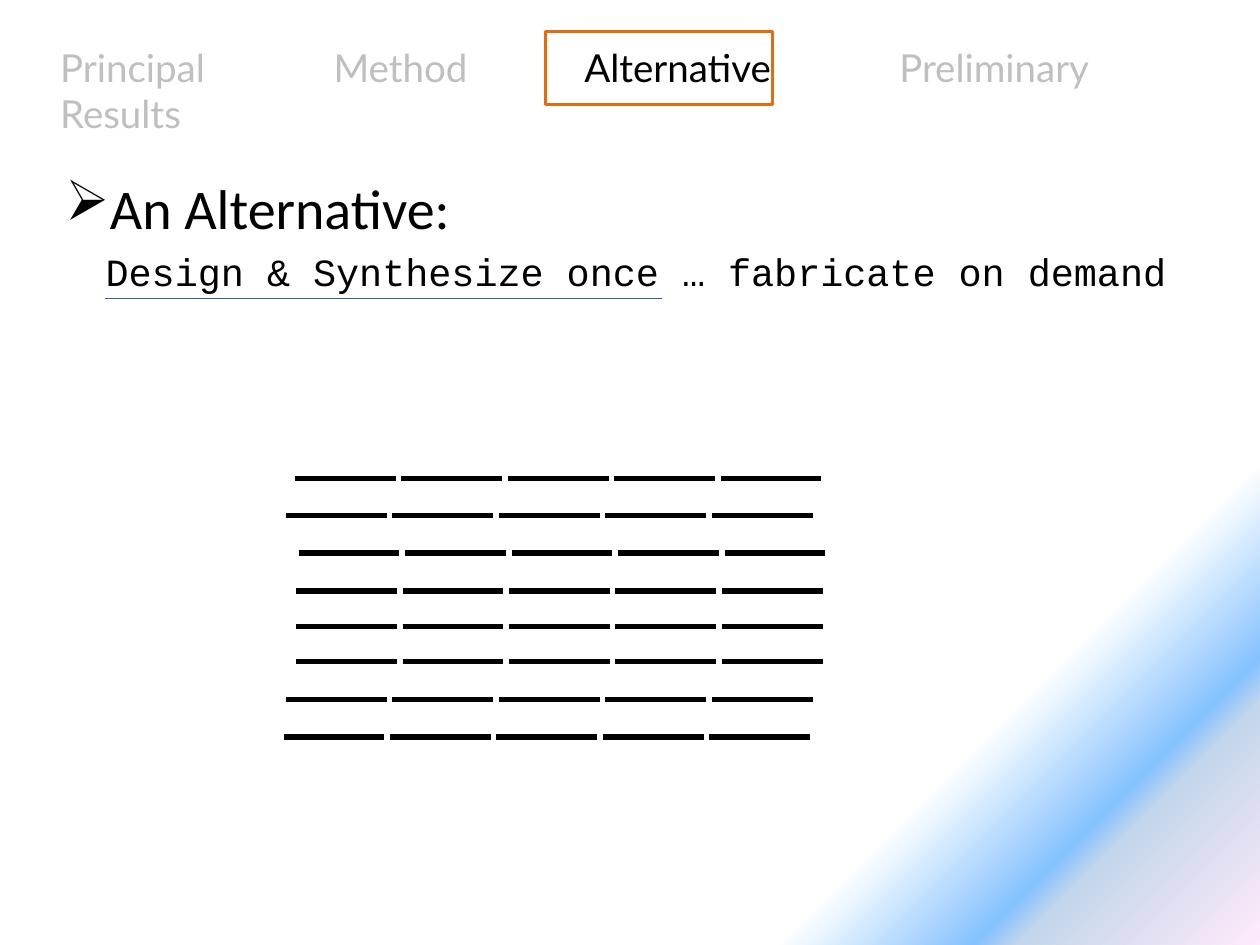
"""Build the slide that shows strands drawn under the third tab."""
from lxml.etree import SubElement
from pptx import Presentation
from pptx.dml.color import RGBColor
from pptx.enum.shapes import MSO_CONNECTOR, MSO_SHAPE
from pptx.oxml.ns import qn
from pptx.util import Inches, Pt

COLS, ROWS = 100, 75
INK = {"black": "000000", "grey": "BFBFBF", "rust": "E46C0A", "blue": "355D8D"}
SHADE = [(0, "FFFFFF"), (78, "FFFFFF"), (87, "85C2FF"), (89, "C4D6EB"), (100, "FFEBFA")]
FORM = {
    "tab": {"name": "Lato", "size": Pt(22)},
    "head": {"name": "Calibri", "size": Pt(32)},
    "code": {"name": "Courier New", "size": Pt(22)},
}
TABS = [("Principal", "grey"), ("\tMethod\t", "grey"), ("Alternative", "black"),
        ("\tPreliminary Results", "grey")]
STOPS = [21.7, 41.6, 66.6]
STRANDS = [(23.4, 38), (22.7, 40.9), (23.7, 43.9), (23.5, 46.9),
           (23.5, 49.7), (23.5, 52.5), (22.7, 55.5), (22.5, 58.5)]
PARTS, PITCH, DASH = 5, 8.45, 8


class Page:
    """Hold the style and the current slide, measured on a grid."""

    def __init__(self, deck):
        self.slide = deck.slides.add_slide(deck.slide_layouts[6])
        self.wide = deck.slide_width / COLS
        self.high = deck.slide_height / ROWS

    def grid(self, *spots):
        """Turn column and row pairs into lengths."""
        return [round(s * (self.high if i % 2 else self.wide)) for i, s in enumerate(spots)]

    def shade(self, stops, angle):
        """Fill the background with a gradient."""
        fill = self.slide.background.fill
        fill.gradient()
        fill.gradient_angle = angle
        ramp = next(self.slide.element.iter(qn("a:gsLst")))
        for old in list(ramp):
            ramp.remove(old)
        for spot, tint in stops:
            stop = SubElement(ramp, qn("a:gs"), pos=str(spot * 1000))
            SubElement(stop, qn("a:srgbClr"), val=tint)

    def pen(self, item, ink, width):
        """Set the line of a shape."""
        item.line.color.rgb = RGBColor.from_string(INK[ink])
        item.line.width = Pt(width)

    def text(self, box, form, runs):
        """Write one paragraph of coloured runs and return it."""
        frame = self.slide.shapes.add_textbox(*self.grid(*box)).text_frame
        frame.word_wrap = True
        para = frame.paragraphs[0]
        for words, ink in runs:
            run = para.add_run()
            run.text = words
            for key, value in FORM[form].items():
                setattr(run.font, key, value)
            run.font.color.rgb = RGBColor.from_string(INK[ink])
        return para

    def point(self, para, mark, size, indent):
        """Give a paragraph a bullet and a hanging indent."""
        props = para._p.get_or_add_pPr()
        inset = self.grid(indent)[0]
        props.set("marL", str(inset))
        props.set("indent", str(-inset))
        SubElement(props, qn("a:buSzPts"), val=str(size * 100))
        SubElement(props, qn("a:buChar"), char=mark)

    def tabs(self, para, stops):
        """Give a paragraph left tab stops."""
        group = SubElement(para._p.get_or_add_pPr(), qn("a:tabLst"))
        for stop in stops:
            SubElement(group, qn("a:tab"), pos=str(self.grid(stop)[0]), algn="l")

    def rule(self, left, top, width, ink, weight):
        """Draw a level line."""
        ends = self.grid(left, top, left + width, top)
        line = self.slide.shapes.add_connector(MSO_CONNECTOR.STRAIGHT, *ends)
        self.pen(line, ink, weight)
        SubElement(line._element.spPr, qn("a:effectLst"))

    def frame(self, box, ink, weight):
        """Draw an empty box."""
        shape = self.slide.shapes.add_shape(MSO_SHAPE.RECTANGLE, *self.grid(*box))
        shape.shadow.inherit = False
        shape.fill.background()
        self.pen(shape, ink, weight)


def main():
    """Build and save the deck."""
    deck = Presentation()
    deck.slide_width, deck.slide_height = Inches(10), Inches(7.5)
    page = Page(deck)
    page.shade(SHADE, 315)
    head = page.text((4.2, 13.3, 33.8, 6.4), "head", [("An Alternative:", "black")])
    page.point(head, "➢", 24, 3.4)
    for part in range(PARTS):
        for left, top in STRANDS:
            page.rule(left + part * PITCH, top, DASH, "black", 3)
    page.tabs(page.text((3.8, 3, 92.3, 4.7), "tab", TABS), STOPS)
    page.frame((43.3, 2.5, 18, 5.8), "rust", 2)
    page.text((7.4, 19.2, 87.5, 4.7), "code",
              [("Design & Synthesize once … fabricate on demand", "black")])
    page.rule(8.3, 23.7, 44.2, "blue", 0.75)
    deck.save("out.pptx")


if __name__ == "__main__":
    main()
